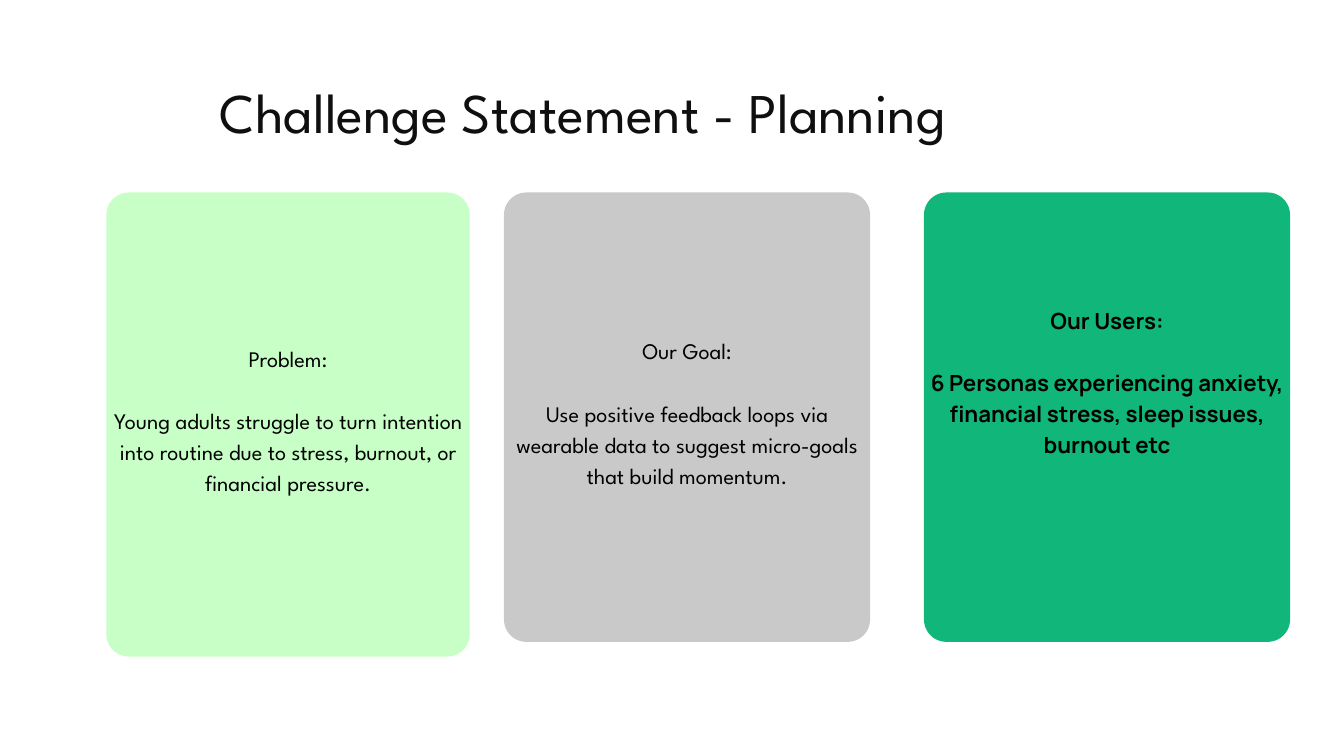
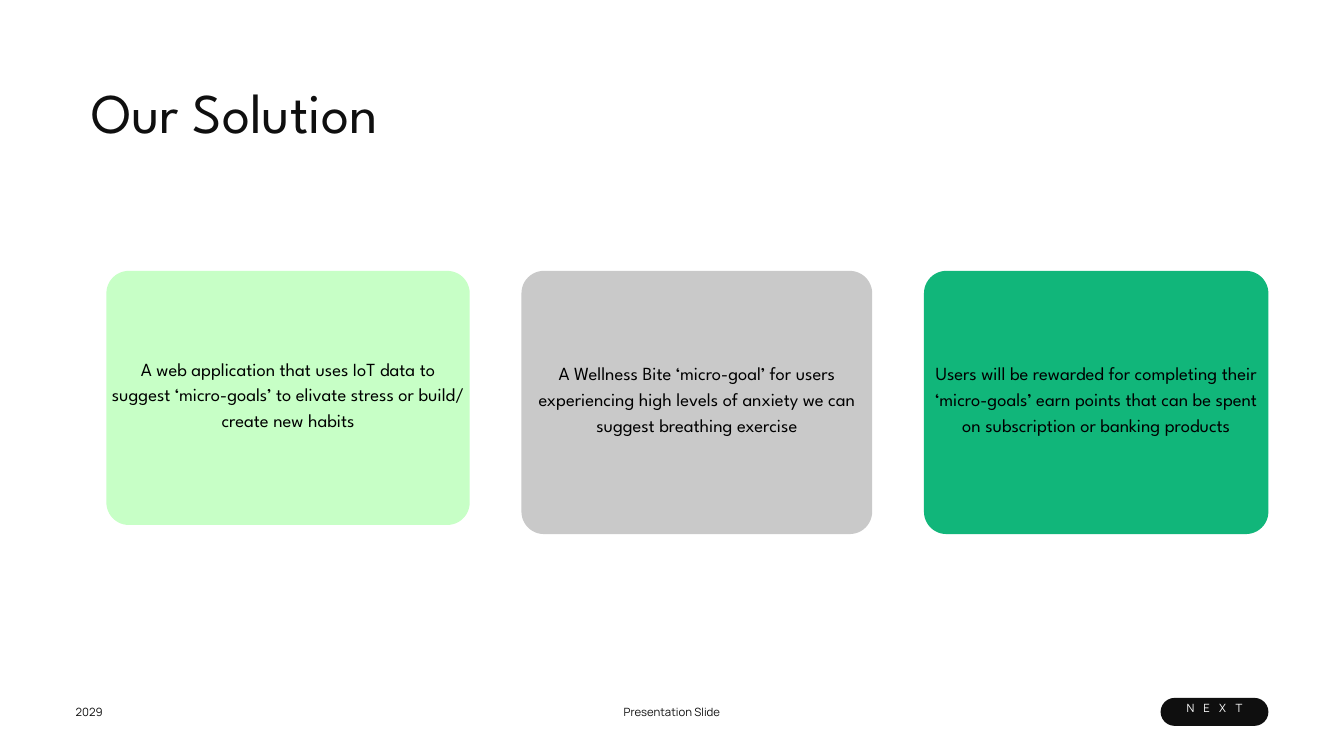
from pptx import Presentation
from pptx.dml.color import RGBColor
from pptx.enum.shapes import MSO_SHAPE
from pptx.enum.text import MSO_ANCHOR, MSO_AUTO_SIZE, PP_ALIGN
from pptx.util import Emu, Pt

EMU_PER_PX = 9525
COLORS = {
    "ink": "0F0F0F",
    "black": "000000",
    "white": "FFFFFF",
    "mint": "C7FFC6",
    "grey": "C9C9C9",
    "green": "11B67A",
}
HEADING_FONT = "League Spartan"
DETAIL_FONT = "Manrope"
CARD_RADIUS = 32
CARD_FILLS = ("mint", "grey", "green")


def px(length):
    return Emu(length * EMU_PER_PX)


def write(frame, *lines, font=HEADING_FONT, size=20, leading=28, color="black",
          bold=False, align=PP_ALIGN.CENTER, anchor=MSO_ANCHOR.TOP,
          inset=0, gap=0, tracking=0):
    frame.word_wrap = True
    frame.auto_size = MSO_AUTO_SIZE.NONE
    frame.vertical_anchor = anchor
    frame.margin_left = frame.margin_right = px(inset)
    frame.margin_top = frame.margin_bottom = px(inset)
    for index, line in enumerate(lines):
        paragraph = frame.add_paragraph() if index else frame.paragraphs[0]
        paragraph.alignment = align
        paragraph.line_spacing = Pt(leading)
        paragraph.space_before = Pt(gap if index else 0)
        run = paragraph.add_run()
        run.text = line
        run.font.name = font
        run.font.size = Pt(size)
        run.font.bold = bold
        run.font.color.rgb = RGBColor.from_string(COLORS[color])
        if tracking:
            run.font._element.set("spc", str(tracking))


class Deck:
    def __init__(self):
        self.presentation = Presentation()
        self.presentation.slide_width = px(1920)
        self.presentation.slide_height = px(1080)
        self.slide = None

    def new_slide(self):
        layout = self.presentation.slide_layouts.get_by_name("Title Only")
        self.slide = self.presentation.slides.add_slide(layout)

    def title(self, text, left, width, align):
        heading = self.slide.shapes.title
        heading.left, heading.top = px(left), px(95)
        heading.width, heading.height = px(width), px(109)
        write(heading.text_frame, text, size=60, leading=84, color="ink", align=align)

    def text(self, box, *lines, **style):
        area = self.slide.shapes.add_textbox(*map(px, box))
        write(area.text_frame, *lines, **style)

    def panel(self, box, fill, radius, lift, *lines, **style):
        left, top, width, height = box
        panel = self.slide.shapes.add_shape(MSO_SHAPE.ROUNDED_RECTANGLE, *map(px, box))
        panel.adjustments[0] = radius / min(width, height)
        panel.shadow.inherit = False
        panel.fill.solid()
        panel.fill.fore_color.rgb = RGBColor.from_string(COLORS[fill])
        panel.line.fill.background()
        self.text((left, top - lift, width, height + lift), *lines,
                  anchor=MSO_ANCHOR.MIDDLE, inset=6, **style)

    def footer(self, left, width, text, align):
        self.text((left, 1004, width, 23), text, font=DETAIL_FONT, size=12.2,
                  leading=17.1, color="ink", align=align)

    def next_button(self):
        self.panel((1658, 997, 154, 40), "ink", 20, 16, "NEXT", font=DETAIL_FONT,
                   size=12.2, leading=17.1, color="white", tracking=980)


def challenge_slide(deck):
    deck.new_slide()
    deck.title("Challenge Statement - Planning", 108, 1450, PP_ALIGN.CENTER)
    cards = (
        (152, 519, 663, 18, "Problem:",
         "Young adults struggle to turn intention into routine due to stress, "
         "burnout, or financial pressure.", {}),
        (720, 523, 642, 18, "Our Goal:",
         "Use positive feedback loops via wearable data to suggest micro-goals "
         "that build momentum.", {}),
        (1320, 523, 642, 104, "Our Users:",
         "6 Personas experiencing anxiety, financial stress, sleep issues, "
         "burnout etc", {"font": DETAIL_FONT, "bold": True}),
    )
    for fill, (left, width, height, lift, heading, statement, style) in zip(CARD_FILLS, cards):
        deck.panel((left, 275, width, height), fill, CARD_RADIUS, lift, heading,
                   statement, size=23.8, leading=33.3, gap=33.3, **style)


def solution_slide(deck):
    deck.new_slide()
    deck.title("Our Solution", 130, 1474, PP_ALIGN.LEFT)
    cards = (
        (152, 519, 363,
         "A web application that uses IoT data to suggest ‘micro-goals’ to elivate "
         "stress or build/ create new habits"),
        (745, 501, 376,
         "A Wellness Bite ‘micro-goal’ for users experiencing high levels of "
         "anxiety we can suggest breathing exercise"),
        (1320, 492, 376,
         "Users will be rewarded for completing their ‘micro-goals’ earn points "
         "that can be spent on subscription or banking products"),
    )
    for fill, (left, width, height, feature) in zip(CARD_FILLS, cards):
        deck.panel((left, 387, width, height), fill, CARD_RADIUS, 15, feature,
                   size=19.8, leading=27.7)
    deck.footer(108, 43, "2029", PP_ALIGN.LEFT)
    deck.footer(882, 156, "Presentation Slide", PP_ALIGN.CENTER)
    deck.next_button()


def main():
    deck = Deck()
    challenge_slide(deck)
    solution_slide(deck)
    deck.presentation.save("out.pptx")


if __name__ == "__main__":
    main()
